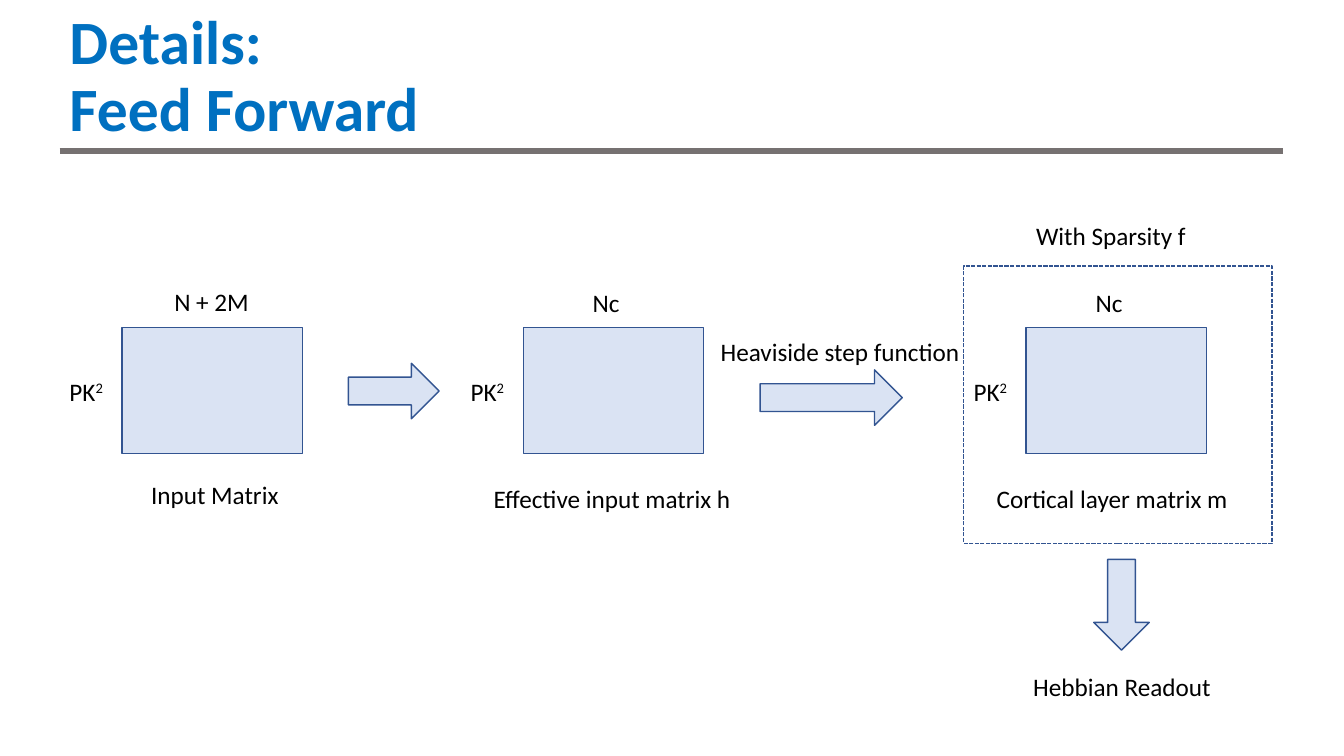
from lxml import etree
from pptx import Presentation
from pptx.dml.color import RGBColor
from pptx.enum.dml import MSO_LINE
from pptx.enum.shapes import MSO_CONNECTOR, MSO_SHAPE
from pptx.enum.text import MSO_ANCHOR, MSO_AUTO_SIZE
from pptx.oxml.ns import qn
from pptx.util import Inches, Pt

RECTANGLE = MSO_SHAPE.RECTANGLE
UP_ARROW = MSO_SHAPE.UP_ARROW
STRAIGHT = MSO_CONNECTOR.STRAIGHT
DASHED = MSO_LINE.SQUARE_DOT
MIDDLE = MSO_ANCHOR.MIDDLE
GROW = MSO_AUTO_SIZE.SHAPE_TO_FIT_TEXT

TITLE_BLUE = RGBColor(0x00, 0x70, 0xC0)
RULE_GRAY = RGBColor(0x76, 0x71, 0x71)
PALE_BLUE = RGBColor(0xDA, 0xE3, 0xF3)
EDGE_BLUE = RGBColor(0x32, 0x54, 0x91)
BLACK = RGBColor(0, 0, 0)

FONT = "Calibri"
WIDTH, HEIGHT = Inches(13.33), Inches(7.5)

# Grid of 100 columns by 100 rows
MATRIX_TOP, MATRIX_WIDTH, MATRIX_HEIGHT = 43.33, 13.43, 16.67
LABEL_HEIGHT = 5.33
ARROW_WIDTH = 4.13

# Matrix left; heading, its offset and top; caption, its offset, top, width, wrap
MATRICES = [
    (9.08, ("N + 2M", 3.15, 37.2), ("Input Matrix", 1.43, 62.8, 11.1, True)),
    (38.93, ("Nc", 4.43, 37.33),
     ("Effective input matrix h", -2.93, 63.33, 19.35, False)),
    (76.35, ("Nc", 4.43, 37.33),
     ("Cortical layer matrix m", -2.93, 63.33, 18.9, False)),
]

# Left, top and length before turning, then the turn in degrees
ARROWS = [(27.23, 45.73, 12, 90), (59.78, 43.2, 18.8, 90), (81.38, 74, 12, 180)]

# Free labels: text, left, top, width
NOTES = [
    ("Heaviside step function", 52.88, 43.87, 19.5),
    ("With Sparsity f", 76.35, 28.53, 12.75),
    ("Hebbian Readout", 76.13, 88.13, 14.93),
]


def column(count):
    return round(WIDTH * count / 100)


def row(count):
    return round(HEIGHT * count / 100)


def place(left, top, width, height):
    return column(left), row(top), column(width), row(height)


def style_font(font, size, color):
    font.name, font.size = FONT, Pt(size)
    font.color.rgb = color


def add_title(page, text):
    frame = page.shapes.add_textbox(*place(4.43, 0.67, 86.25, 19.33)).text_frame
    frame.word_wrap = True
    frame.vertical_anchor = MIDDLE
    para = frame.paragraphs[0]
    para.text = text
    para.line_spacing = 0.9
    for span in para.runs:
        style_font(span.font, 44, TITLE_BLUE)
        span.font.bold = True


def add_rule(page):
    rule = page.shapes.add_connector(
        STRAIGHT, column(4.43), row(20), column(95.48), row(20))
    rule.line.color.rgb = RULE_GRAY
    rule.line.width = Pt(4.5)
    properties = rule._element.find(qn("p:spPr"))
    etree.SubElement(properties, qn("a:effectLst"))


def add_label(page, text, left, top, width, wrap=False, superscript=""):
    box = page.shapes.add_textbox(*place(left, top, width, LABEL_HEIGHT))
    frame = box.text_frame
    frame.word_wrap = wrap
    frame.auto_size = GROW
    para = frame.paragraphs[0]
    para.text = text
    if superscript:
        raised = para.add_run()
        raised.text = superscript
        raised._r.get_or_add_rPr().set("baseline", "30000")
    for span in para.runs:
        style_font(span.font, 18, BLACK)


def add_block(page, kind, left, top, width, height, fill=PALE_BLUE):
    block = page.shapes.add_shape(kind, *place(left, top, width, height))
    block.shadow.inherit = False
    if fill is None:
        block.fill.background()
    else:
        block.fill.solid()
        block.fill.fore_color.rgb = fill
    block.line.color.rgb = EDGE_BLUE
    block.line.width = Pt(1)
    return block


def add_matrix(page, left, heading, caption):
    add_block(page, RECTANGLE, left, MATRIX_TOP, MATRIX_WIDTH, MATRIX_HEIGHT)
    text, offset, top = heading
    add_label(page, text, left + offset, top, 7.13, wrap=True)
    add_label(page, "PK", left - 4.65, 49.07, 4.13, wrap=True, superscript="2")
    text, offset, top, width, wrap = caption
    add_label(page, text, left + offset, top, width, wrap)


def main():
    deck = Presentation()
    deck.slide_width, deck.slide_height = WIDTH, HEIGHT
    page = deck.slides.add_slide(deck.slide_layouts[6])

    # Heading
    add_title(page, "Details:\vFeed Forward")
    add_rule(page)

    # Matrices and the arrows between them
    for left, heading, caption in MATRICES:
        add_matrix(page, left, heading, caption)
    for left, top, length, turn in ARROWS:
        arrow = add_block(page, UP_ARROW, left, top, ARROW_WIDTH, length)
        arrow.rotation = turn

    # Sparse region and free labels
    region = add_block(page, RECTANGLE, 71.7, 35.2, 22.95, 36.67, fill=None)
    region.line.dash_style = DASHED
    for note in NOTES:
        add_label(page, *note)

    deck.save("out.pptx")


if __name__ == "__main__":
    main()
